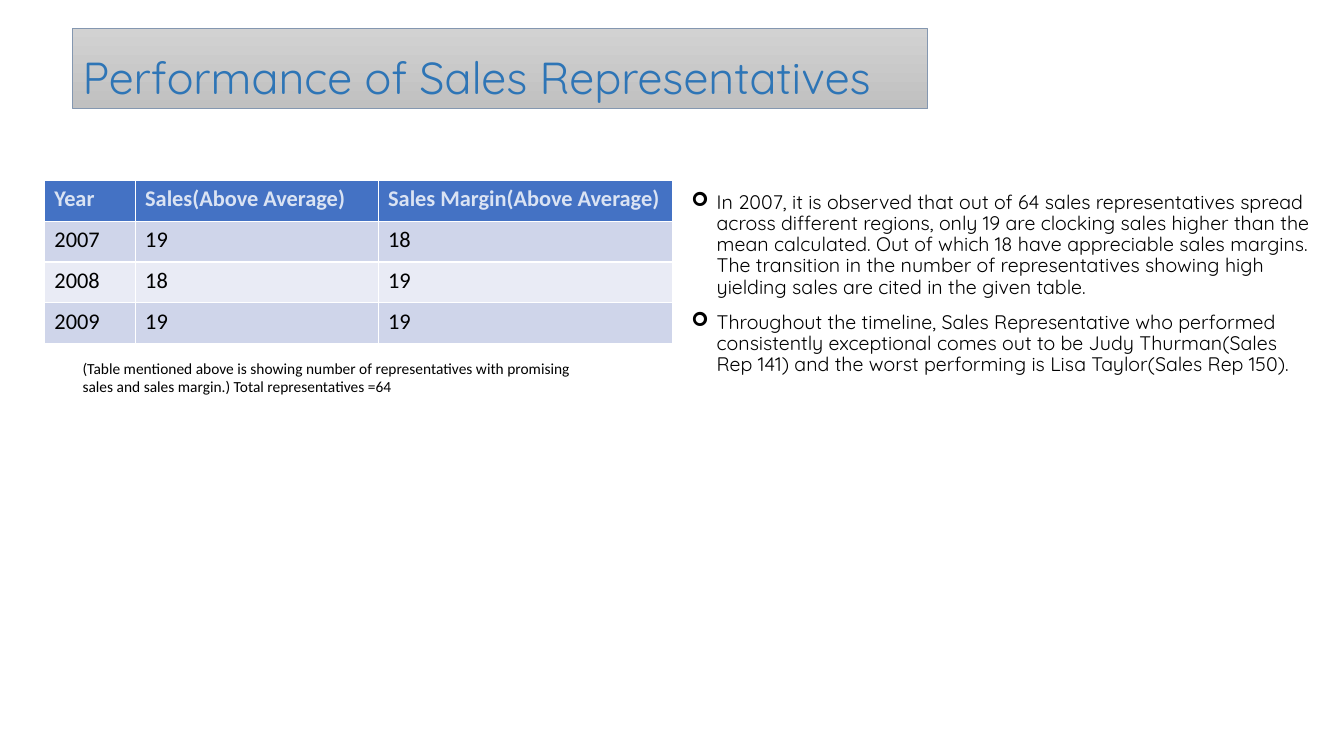
from pptx import Presentation
from pptx.dml.color import RGBColor
from pptx.enum import shapes, text
from pptx.oxml import parse_xml
from pptx.oxml.ns import nsdecls
from pptx.util import Inches, Pt

TITLE = "Performance of Sales Representatives"
SALES_ROWS = [
    ("Year", "Sales(Above Average)", "Sales Margin(Above Average)"),
    ("2007", "19", "18"),
    ("2008", "18", "19"),
    ("2009", "19", "19"),
]
COLUMN_WIDTHS = (0.9, 2.41, 2.92)
ROW_HEIGHT = 0.405
FINDINGS = [
    "In 2007, it is observed that out of 64 sales representatives spread across "
    "different regions, only 19 are clocking sales higher than the mean calculated. "
    "Out of which 18 have appreciable sales margins. The transition in the number of "
    "representatives showing high yielding sales are cited in the given table.",
    "Throughout the timeline, Sales Representative who performed consistently "
    "exceptional comes out to be Judy Thurman(Sales Rep 141) and the worst performing "
    "is Lisa Taylor(Sales Rep 150).",
]
TABLE_NOTE = (
    "(Table mentioned above is showing number of representatives with promising "
    "sales and sales margin.) Total representatives =64"
)


def color(value):
    return RGBColor.from_string(value)


def format_text(para, font, size, value, bold=False):
    for span in para.runs:
        span.font.name = font
        span.font.size = Pt(size)
        span.font.bold = bold
        span.font.color.rgb = color(value)


def add_title(page, left, top, width, height):
    banner = page.shapes.add_shape(
        shapes.MSO_SHAPE.RECTANGLE, Inches(left), Inches(top), Inches(width), Inches(height))
    banner.shadow.inherit = False
    banner.fill.gradient()
    banner.fill.gradient_angle = 270
    for stop, value in zip(banner.fill.gradient_stops, ("D2D2D2", "C0C0C0")):
        stop.color.rgb = color(value)
    banner.line.color.rgb = color("8497B0")
    banner.line.width = Pt(0.5)
    frame = banner.text_frame
    frame.text = TITLE
    frame.word_wrap = True
    frame.vertical_anchor = text.MSO_ANCHOR.BOTTOM
    para = frame.paragraphs[0]
    para.alignment = text.PP_ALIGN.LEFT
    para.line_spacing = 0.9
    format_text(para, "Quicksand", 32, "2E75B6")


def add_text(page, left, top, width, height, lines, font, size):
    box = page.shapes.add_textbox(Inches(left), Inches(top), Inches(width), Inches(height))
    frame = box.text_frame
    frame.word_wrap = True
    frame.text = "\n".join(lines)
    for para in frame.paragraphs:
        format_text(para, font, size, "000000")
    return frame.paragraphs


def add_bullet(para):
    para.line_spacing = 0.9
    para.space_before = Pt(10)
    properties = para._p.get_or_add_pPr()
    properties.set("marL", str(Inches(0.25)))
    properties.set("indent", str(-Inches(0.25)))
    properties.append(parse_xml(f'<a:buFont {nsdecls("a")} typeface="Wingdings"/>'))
    properties.append(parse_xml(f'<a:buChar {nsdecls("a")} char="➢"/>'))


def add_sales_table(page, left, top):
    table = page.shapes.add_table(
        len(SALES_ROWS), len(COLUMN_WIDTHS), Inches(left), Inches(top),
        Inches(sum(COLUMN_WIDTHS)), Inches(ROW_HEIGHT * len(SALES_ROWS))).table
    for column, width in zip(table.columns, COLUMN_WIDTHS):
        column.width = Inches(width)
    for index, values in enumerate(SALES_ROWS):
        header = index == 0
        band = "4472C4" if header else ("E9EBF5", "CFD5EA")[index % 2]
        for cell, value in zip(table.rows[index].cells, values):
            cell.text = value
            cell.fill.solid()
            cell.fill.fore_color.rgb = color(band)
            format_text(cell.text_frame.paragraphs[0], "Calibri", 16,
                        "DAE3F3" if header else "000000", header)


def main():
    deck = Presentation()
    deck.slide_width = Inches(13.33)
    deck.slide_height = Inches(7.5)
    page = deck.slides.add_slide(deck.slide_layouts[6])

    # Title banner
    add_title(page, 0.72, 0.28, 8.48, 0.8)

    # Findings beside the table
    for para in add_text(page, 6.76, 1.86, 6.4, 2.65, FINDINGS, "Quicksand", 14):
        add_bullet(para)

    # Sales table and its note
    add_sales_table(page, 0.44, 1.79)
    add_text(page, 0.72, 3.51, 5.32, 0.47, [TABLE_NOTE], "Calibri", 11)

    deck.save("out.pptx")


if __name__ == "__main__":
    main()
